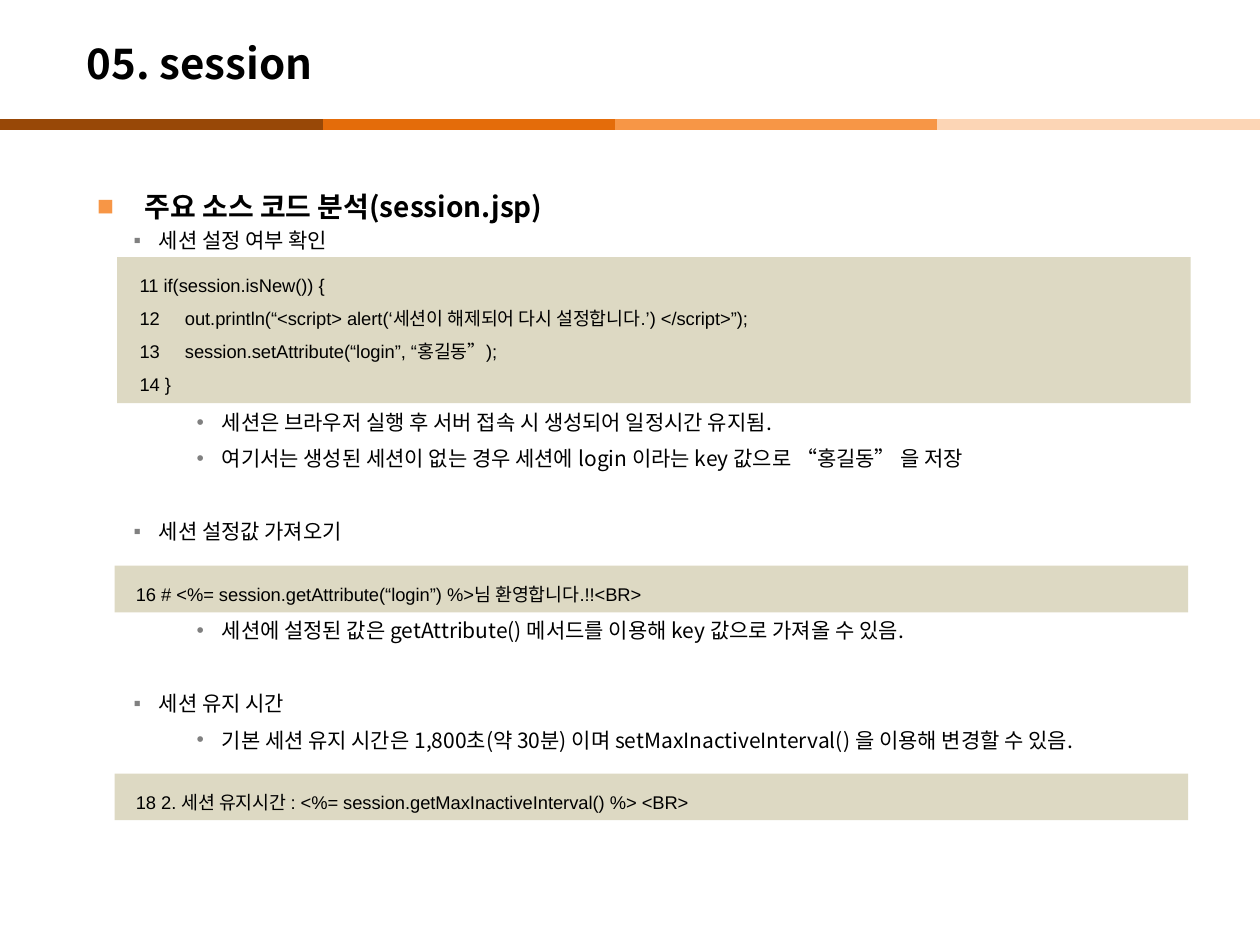
from dataclasses import dataclass

from lxml.etree import SubElement
from pptx import Presentation
from pptx.dml.color import RGBColor
from pptx.enum.shapes import MSO_CONNECTOR as Connector, MSO_SHAPE as Shape
from pptx.enum.text import MSO_ANCHOR as Anchor, MSO_AUTO_SIZE as AutoSize, PP_ALIGN as Align
from pptx.oxml.ns import qn
from pptx.util import Emu, Inches, Pt

COLORS = {
    "text": "000000", "panel": "DDD9C3", "square": "F79646", "dot": "808080",
    "brown": "984807", "orange": "E46C0A", "amber": "F79646", "peach": "FCD5B5",
}
KOREAN, CODE = "Noto Sans CJK KR", "Arial"
COLUMNS, ROWS = 100, 75
WIDTH, HEIGHT = Inches(10), Inches(7.5)


@dataclass(frozen=True)
class Area:
    column: float
    row: float
    columns: float
    rows: float


@dataclass(frozen=True)
class Level:
    depth: int
    size: float
    bold: bool
    indent: float
    hang: float
    line: float
    after: float
    bullet: str
    color: str


@dataclass(frozen=True)
class Item:
    level: Level
    text: str
    before: float = 2


@dataclass(frozen=True)
class Listing:
    panel: Area
    text_column: float
    text_columns: float
    lines: tuple[str, ...]


@dataclass(frozen=True)
class Stripe:
    start: float
    end: float
    color: str


HEADING = Level(0, 16, True, 3.8, 3.8, 29.5, 0, "■", "square")
TOPIC = Level(1, 12, False, 4.9, 2, 14.9, 4, "▪", "dot")
DETAIL = Level(2, 12, False, 9.9, 2, 14.9, 4, "•", "dot")

ITEMS = (
    Item(HEADING, "주요 소스 코드 분석(session.jsp)", 0),
    Item(TOPIC, "세션 설정 여부 확인"),
    Item(DETAIL, "세션은 브라우저 실행 후 서버 접속 시 생성되어 일정시간 유지됨.", 85),
    Item(DETAIL, "여기서는 생성된 세션이 없는 경우 세션에 login 이라는 key 값으로 “홍길동” 을 저장"),
    Item(TOPIC, "세션 설정값 가져오기", 22.5),
    Item(DETAIL, "세션에 설정된 값은 getAttribute() 메서드를 이용해 key 값으로 가져올 수 있음.", 38),
    Item(TOPIC, "세션 유지 시간", 22.5),
    Item(DETAIL, "기본 세션 유지 시간은 1,800초(약 30분) 이며 setMaxInactiveInterval() 을 이용해 변경할 수 있음."),
)

LISTINGS = (
    Listing(Area(9.3, 20.4, 85.2, 11.6), 10.1, 55.6, (
        "11 if(session.isNew()) {",
        "12\tout.println(“<script> alert(‘세션이 해제되어 다시 설정합니다.’) </script>”);",
        "13\tsession.setAttribute(“login”, “홍길동”);",
        "14 }",
    )),
    Listing(Area(9.1, 44.9, 85.2, 3.7), 9.8, 45.1, (
        "16 # <%= session.getAttribute(“login”) %>님 환영합니다.!!<BR>",
    )),
    Listing(Area(9.1, 61.4, 85.2, 3.7), 9.8, 48.6, (
        "18 2. 세션 유지시간 : <%= session.getMaxInactiveInterval() %> <BR>",
    )),
)

STRIPES = (
    Stripe(23.2, 48.8, "orange"), Stripe(48.8, 74.4, "amber"),
    Stripe(74.4, 100, "peach"), Stripe(0, 25.6, "brown"),
)


def across(columns: float) -> Emu:
    return Emu(round(WIDTH * columns / COLUMNS))


def down(rows: float) -> Emu:
    return Emu(round(HEIGHT * rows / ROWS))


def bounds(area: Area) -> tuple[Emu, ...]:
    return across(area.column), down(area.row), across(area.columns), down(area.rows)


def color_of(name: str) -> RGBColor:
    return RGBColor.from_string(COLORS[name])


def apply(target, values: dict) -> None:
    for name, value in values.items():
        setattr(target, name, value)


def place(box, area: Area) -> None:
    apply(box, dict(zip(("left", "top", "width", "height"), bounds(area))))


def write(para, text: str, font: str, size: float, bold: bool = False) -> None:
    span = para.add_run()
    span.text = text
    apply(span.font, {"name": font, "size": Pt(size), "bold": bold})
    span.font.color.rgb = color_of("text")
    SubElement(span.font._element, qn("a:ea"), typeface=KOREAN)


def set_bullet(para, level: Level) -> None:
    properties = para._p.get_or_add_pPr()
    properties.set("marL", str(across(level.indent)))
    properties.set("indent", str(-across(level.hang)))
    tint = SubElement(properties, qn("a:buClr"))
    SubElement(tint, qn("a:srgbClr"), val=COLORS[level.color])
    SubElement(properties, qn("a:buChar"), char=level.bullet)


def set_tab(para, columns: float) -> None:
    stops = SubElement(para._p.get_or_add_pPr(), qn("a:tabLst"))
    SubElement(stops, qn("a:tab"), pos=str(across(columns)), algn="l")


def paragraphs(frame, count: int) -> list:
    return [frame.paragraphs[0]] + [frame.add_paragraph() for _ in range(count - 1)]


def draw_stripe(page, stripe: Stripe) -> None:
    row = down(9.9)
    line = page.shapes.add_connector(
        Connector.STRAIGHT, across(stripe.start), row, across(stripe.end), row)
    line.line.color.rgb = color_of(stripe.color)
    line.line.width = Pt(6)
    SubElement(line._element.spPr, qn("a:effectLst"))


def fill_title(box) -> None:
    place(box, Area(5.9, 2, 82.7, 6))
    apply(box.text_frame, {"vertical_anchor": Anchor.MIDDLE, "auto_size": AutoSize.NONE})
    para = box.text_frame.paragraphs[0]
    para.alignment = Align.LEFT
    write(para, "05. session", KOREAN, 24, True)


def fill_body(box) -> None:
    place(box, Area(6.7, 13.1, 84.3, 51.4))
    apply(box.text_frame, {"vertical_anchor": Anchor.TOP, "auto_size": AutoSize.NONE})
    for para, item in zip(paragraphs(box.text_frame, len(ITEMS)), ITEMS):
        level = item.level
        apply(para, {
            "level": level.depth, "alignment": Align.LEFT, "line_spacing": Pt(level.line),
            "space_before": Pt(item.before), "space_after": Pt(level.after),
        })
        set_bullet(para, level)
        write(para, item.text, KOREAN, level.size, level.bold)


def draw_listing(page, listing: Listing) -> None:
    area = listing.panel
    panel = page.shapes.add_shape(Shape.RECTANGLE, *bounds(area))
    panel.shadow.inherit = False
    panel.fill.solid()
    panel.fill.fore_color.rgb = color_of("panel")
    panel.line.fill.background()
    box = page.shapes.add_textbox(*bounds(
        Area(listing.text_column, area.row, listing.text_columns, area.rows)))
    apply(box.text_frame, {"word_wrap": False, "auto_size": AutoSize.SHAPE_TO_FIT_TEXT})
    for para, text in zip(paragraphs(box.text_frame, len(listing.lines)), listing.lines):
        para.line_spacing = 1.5
        if "\t" in text:
            set_tab(para, 3.6)
        write(para, text, CODE, 10.5)


def main() -> None:
    deck = Presentation()
    apply(deck, {"slide_width": WIDTH, "slide_height": HEIGHT})
    page = deck.slides.add_slide(deck.slide_layouts[1])
    for stripe in STRIPES:
        draw_stripe(page, stripe)
    fill_title(page.shapes.title)
    fill_body(page.placeholders[1])
    for listing in LISTINGS:
        draw_listing(page, listing)
    deck.save("out.pptx")


if __name__ == "__main__":
    main()
